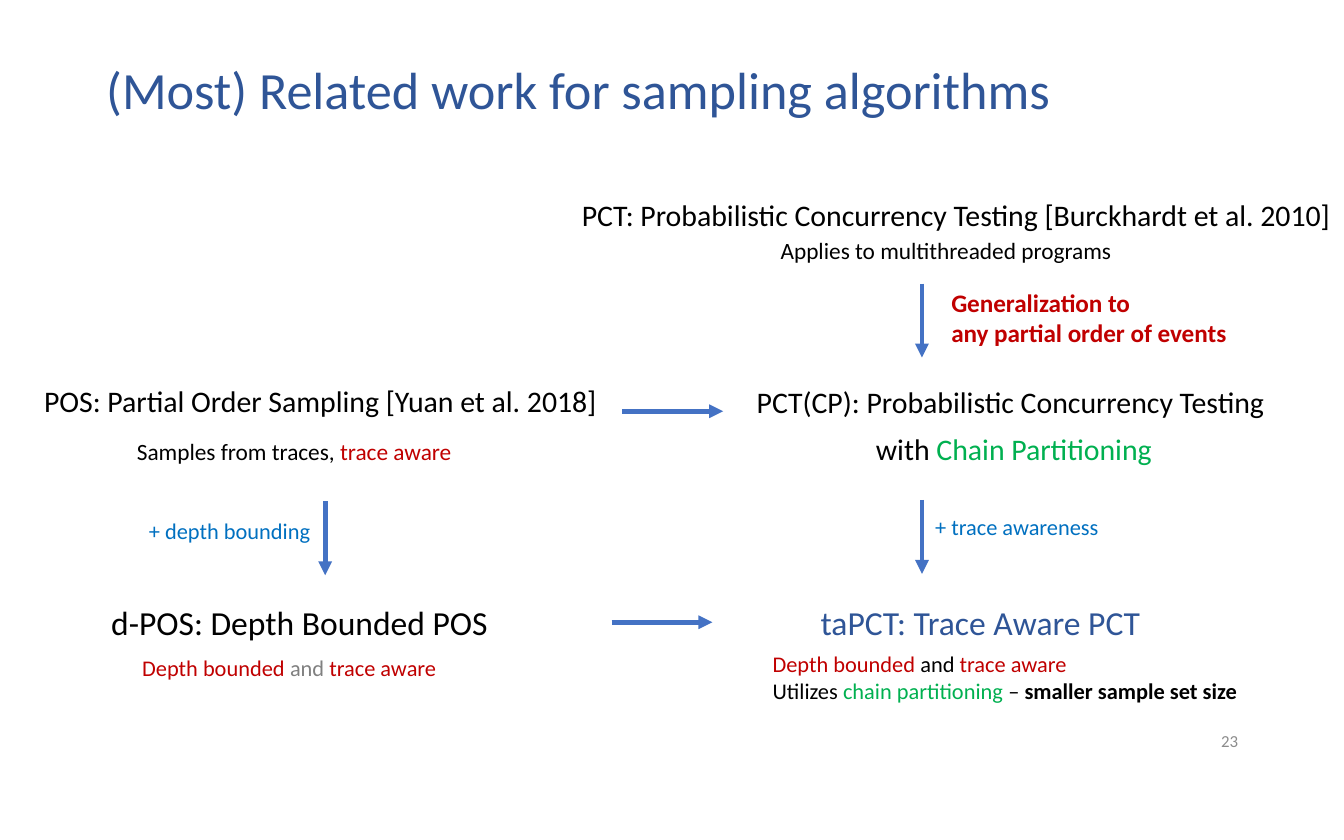
from dataclasses import dataclass

from lxml import etree
from pptx import Presentation
from pptx.dml.color import RGBColor
from pptx.enum.shapes import MSO_CONNECTOR as Link
from pptx.enum.text import MSO_ANCHOR as Anchor, MSO_AUTO_SIZE as Fit, PP_ALIGN as Align
from pptx.oxml.ns import qn
from pptx.util import Emu, Pt

SCALE = 9144  # EMU in one px, 100 px to the inch


def px(n):
    return Emu(n * SCALE)


@dataclass(frozen=True)
class Theme:
    font: str = "Calibri"
    black: str = "000000"
    navy: str = "2F5597"
    red: str = "C00000"
    green: str = "00B050"
    blue: str = "0070C0"
    gray: str = "808080"
    pale: str = "8C8C8C"
    arrow: str = "4472C4"
    title: float = 28
    main: float = 18
    head: float = 16
    claim: float = 13.5
    sub: float = 12.5
    note: float = 12
    foot: float = 9
    stroke: float = 2.5


class Deck:
    def __init__(self, theme):
        self.theme = theme
        self.prs = Presentation()
        self.prs.slide_width, self.prs.slide_height = px(1000), px(625)
        self.slide = self.prs.slides.add_slide(self.prs.slide_layouts[5])

    def fill(self, frame, lines, size, align=Align.LEFT, space=None, gap=0):
        """Write lines; each line is a list of (text, colour[, bold]) runs."""
        for i, line in enumerate(lines):
            para = frame.paragraphs[0] if i == 0 else frame.add_paragraph()
            para.alignment = align
            if space:
                para.line_spacing = space
            if i and gap:
                para.space_before = Pt(gap)
            for text, color, *bold in line:
                run = para.add_run()
                run.text = text
                font = run.font
                font.name, font.size, font.bold = self.theme.font, Pt(size), bool(bold)
                font.color.rgb = RGBColor.from_string(color)

    def title(self, box, text):
        shape = self.slide.shapes.title
        shape.left, shape.top, shape.width, shape.height = map(px, box)
        frame = shape.text_frame
        frame.auto_size, frame.vertical_anchor = Fit.NONE, Anchor.MIDDLE
        self.fill(frame, [[(text, self.theme.navy)]], self.theme.title, space=0.9)

    def frame(self, box, anchor=Anchor.TOP, wrap=True):
        frame = self.slide.shapes.add_textbox(*map(px, box)).text_frame
        frame.word_wrap, frame.vertical_anchor = wrap, anchor
        return frame

    def head(self, box, size, *lines):
        """Centred name of an algorithm, set on the bottom of its box."""
        self.fill(self.frame(box, Anchor.BOTTOM), lines, size, Align.CENTER, 0.9, 7.5)

    def note(self, box, size, *lines, wrap=True):
        frame = self.frame(box, wrap=wrap)
        frame.auto_size = Fit.SHAPE_TO_FIT_TEXT
        self.fill(frame, lines, size)

    def number(self, box, text):
        line = [(text, self.theme.pale)]
        self.fill(self.frame(box, Anchor.MIDDLE), [line], self.theme.foot, Align.RIGHT)

    def arrow(self, x, y, dx=0, dy=0):
        link = self.slide.shapes.add_connector(
            Link.STRAIGHT, px(x), px(y), px(x + dx), px(y + dy))
        link.line.width = Pt(self.theme.stroke)
        link.line.color.rgb = RGBColor.from_string(self.theme.arrow)
        etree.SubElement(link.line._get_or_add_ln(), qn("a:tailEnd"), type="triangle")
        etree.SubElement(link._element.spPr, qn("a:effectLst"))

    def save(self):
        self.prs.save("out.pptx")


def main():
    t = Theme()
    deck = Deck(t)
    deck.title((69, 29, 862, 80), "(Most) Related work for sampling algorithms")

    deck.head((422, 136, 579, 42), t.head,
              [("PCT: Probabilistic Concurrency Testing [Burckhardt et al. 2010]", t.black)])
    deck.head((11, 242, 455, 75), t.head,
              [("POS: Partial Order Sampling [Yuan et al. 2018]", t.black)])
    deck.head((528, 277, 453, 75), t.head,
              [("PCT(CP): Probabilistic Concurrency Testing ", t.black)],
              [("with ", t.black), ("Chain Partitioning", t.green)])
    deck.head((66, 442, 314, 41), t.main, [("d-POS: Depth Bounded POS", t.black)])
    deck.head((565, 442, 329, 41), t.main, [("taPCT: Trace Aware PCT", t.navy)])

    deck.note((571, 171, 270, 31), t.sub,
              [("Applies to multithreaded programs", t.black)], wrap=False)
    deck.note((92, 320, 257, 31), t.sub,
              [("Samples from traces, ", t.black), ("trace aware", t.red)], wrap=False)
    deck.note((698, 209, 263, 56), t.claim,
              [("Generalization to", t.red, True)],
              [("any partial order of events", t.red, True)])
    deck.note((101, 380, 141, 30), t.note, [("+ depth bounding", t.blue)], wrap=False)
    deck.note((686, 377, 143, 30), t.note, [("+ trace awareness", t.blue)], wrap=False)

    def traits(joint):
        return [("Depth bounded ", t.red), ("and ", joint), ("trace aware", t.red)]

    deck.note((96, 482, 291, 30), t.note, traits(t.gray))
    deck.note((565, 479, 395, 50), t.note, traits(t.black),
              [("Utilizes ", t.black), ("chain partitioning ", t.green),
               ("– ", t.black), ("smaller sample set size", t.black, True)])

    for x, y in (686, 211), (686, 372), (242, 373):
        deck.arrow(x, y, dy=55)
    for x, y in (463, 306), (455, 463):
        deck.arrow(x, y, dx=75)

    deck.number((706, 535, 225, 33), "23")
    deck.save()


if __name__ == "__main__":
    main()
